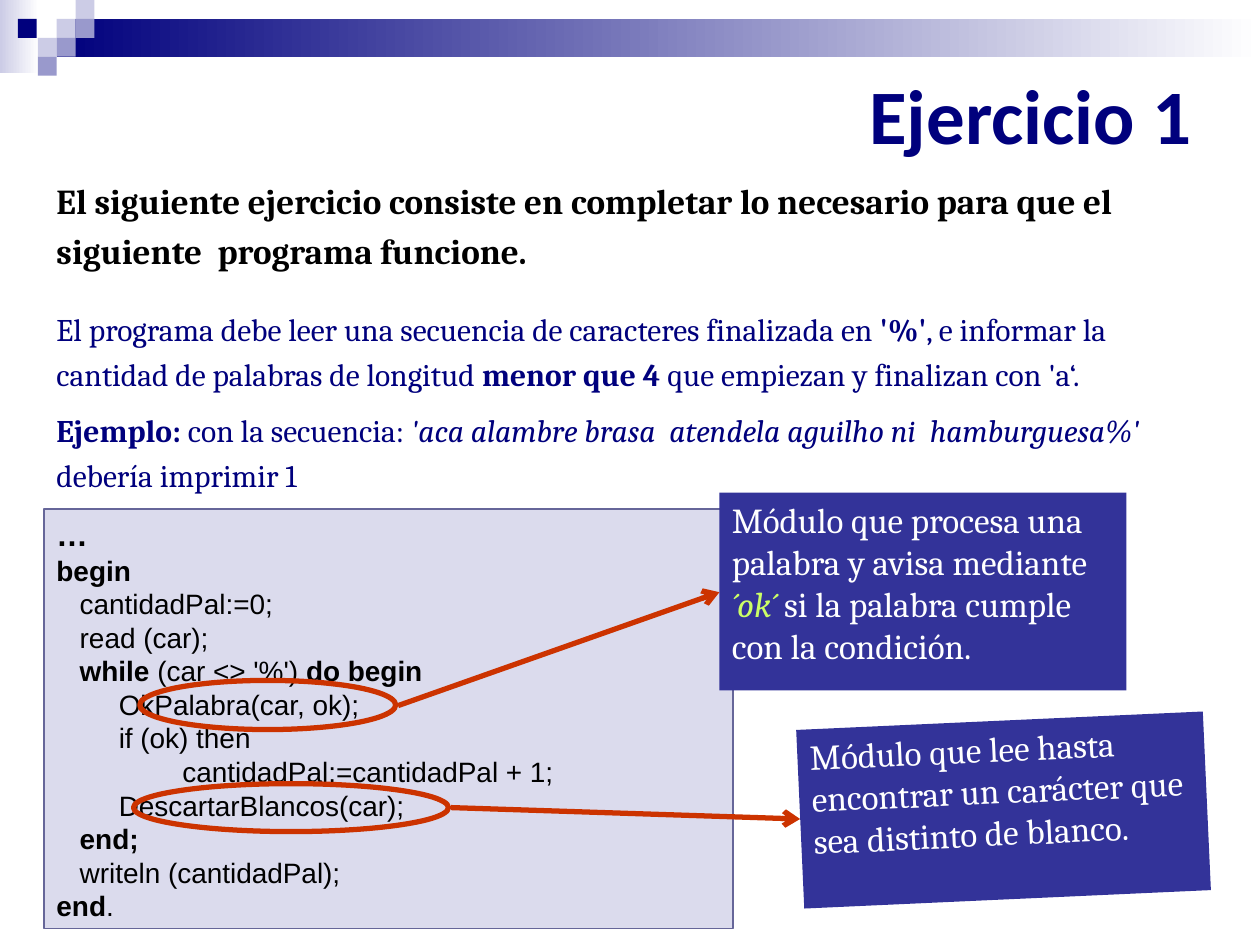
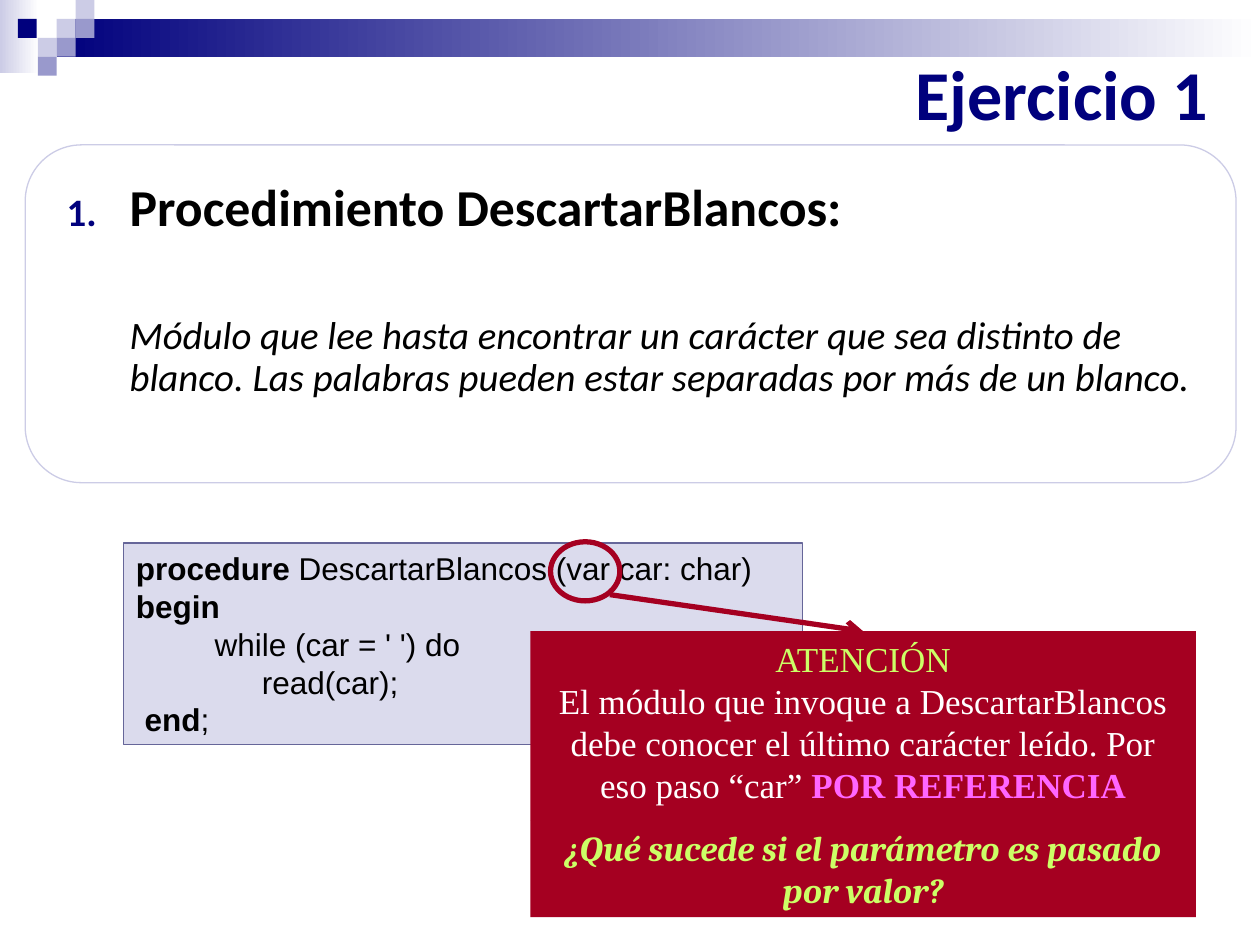
from lxml.etree import SubElement
from pptx import Presentation
from pptx.dml.color import RGBColor
from pptx.enum.shapes import MSO_CONNECTOR as CONN, MSO_SHAPE as SHAPE
from pptx.enum.text import MSO_ANCHOR as ANCHOR, MSO_AUTO_SIZE as AUTO, PP_ALIGN as ALIGN
from pptx.oxml.ns import qn
from pptx.util import Pt

NAVY = RGBColor(0x00, 0x00, 0x7D)
LILAC = RGBColor(0xCC, 0xCC, 0xE6)
VIOLET = RGBColor(0x99, 0x99, 0xCC)
INDIGO = RGBColor(0x33, 0x33, 0x99)
CODE_FILL = RGBColor(0xDB, 0xDB, 0xED)
CODE_LINE = RGBColor(0x66, 0x66, 0x99)
ORANGE = RGBColor(0xCC, 0x33, 0x00)
CRIMSON = RGBColor(0xA5, 0x00, 0x21)
LIME = RGBColor(0xCC, 0xFF, 0x66)
PINK = RGBColor(0xFF, 0x66, 0xFF)
WHITE = RGBColor(0xFF, 0xFF, 0xFF)
BLACK = RGBColor(0x00, 0x00, 0x00)

BOLD = {"bold": True}
ITALIC = {"italic": True}
TAB = 72


def add_shape(slide, kind, box, fill=None, line=None, width=0.75):
    sp = slide.shapes.add_shape(kind, *map(Pt, box))
    sp.shadow.inherit = False
    if fill is None:
        sp.fill.background()
    else:
        sp.fill.solid()
        sp.fill.fore_color.rgb = fill
    if line is None:
        sp.line.fill.background()
    else:
        sp.line.color.rgb = line
        sp.line.width = Pt(width)
    return sp


def set_frame(tf, anchor=ANCHOR.TOP, bottom=3.6):
    tf.word_wrap = True
    tf.auto_size = AUTO.NONE
    tf.vertical_anchor = anchor
    tf.margin_left = tf.margin_right = Pt(7.2)
    tf.margin_top, tf.margin_bottom = Pt(3.6), Pt(bottom)


def add_run(p, text, font, size, color, bold=False, italic=False):
    r = p.add_run()
    r.text = text
    r.font.name, r.font.size = font, Pt(size)
    r.font.bold, r.font.italic = bold, italic
    r.font.color.rgb = color


def add_paragraph(tf, runs, font, size, color=BLACK, align=ALIGN.LEFT,
                  before=0, spacing=1.0, left=0, hanging=0):
    p = tf.paragraphs[0]
    if p.runs:
        p = tf.add_paragraph()
    p.alignment, p.line_spacing, p.space_before = align, spacing, Pt(before)
    pPr = p._p.get_or_add_pPr()
    pPr.set("marL", str(Pt(left)))
    pPr.set("indent", str(Pt(-hanging)))
    for text, style in runs:
        add_run(p, text, **{"font": font, "size": size, "color": color, **style})
    return p


def add_number(p, color, percent):
    pPr = p._p.get_or_add_pPr()
    clr = SubElement(SubElement(pPr, qn("a:buClr")), qn("a:srgbClr"))
    clr.set("val", str(color))
    SubElement(pPr, qn("a:buSzPct")).set("val", str(percent * 1000))
    SubElement(pPr, qn("a:buAutoNum")).set("type", "arabicPeriod")


def add_arrow(slide, start, end, color):
    cx = slide.shapes.add_connector(CONN.STRAIGHT, *map(Pt, (*start, *end)))
    cx.line.color.rgb = color
    cx.line.width = Pt(3)
    SubElement(cx.line._get_or_add_ln(), qn("a:tailEnd")).set("type", "arrow")
    SubElement(cx._element.spPr, qn("a:effectLst"))


def add_band(slide, layout):
    parts = []
    for box, color in (((0, 0, 22.3, 41.8), LILAC), ((32.4, 10.8, 687.6, 21.6), NAVY)):
        sp = add_shape(slide, SHAPE.RECTANGLE, box)
        sp.fill.gradient()
        sp.fill.gradient_angle = 0
        for stop, rgb, position in zip(sp.fill.gradient_stops, (color, WHITE), (0, 1)):
            stop.color.rgb, stop.position = rgb, position
        parts.append(sp)
    side = 10.8
    for col, row, color in ((3, 1, LILAC), (4, 0, LILAC), (4, 1, VIOLET), (2, 2, LILAC),
                            (0.94, 1, NAVY), (3, 2, VIOLET), (2, 3, VIOLET)):
        parts.append(add_shape(slide, SHAPE.RECTANGLE, (col * side, row * side, side, side), color))
    for number, sp in enumerate(parts, 20):
        sp._element.nvSpPr.cNvPr.set("id", str(number))
        layout.shapes.element.append(sp._element)


def add_title(slide, box, size):
    sp = slide.shapes.title
    sp.left, sp.top, sp.width, sp.height = map(Pt, box)
    set_frame(sp.text_frame, ANCHOR.BOTTOM, 7.2)
    add_paragraph(sp.text_frame, [("Ejercicio 1", BOLD)], "Calibri", size, NAVY, ALIGN.RIGHT)


def add_textbox(slide, box):
    tf = slide.shapes.add_textbox(*map(Pt, box)).text_frame
    set_frame(tf)
    return tf


def add_code(slide, box, size, lines):
    tf = add_shape(slide, SHAPE.RECTANGLE, box, CODE_FILL, CODE_LINE).text_frame
    set_frame(tf, ANCHOR.MIDDLE)
    for left, runs in lines:
        add_paragraph(tf, runs, "Arial", size, left=left)


def add_note(slide, box, fill, paragraphs, font="Cambria", align=ALIGN.LEFT, rotation=0):
    sp = add_shape(slide, SHAPE.RECTANGLE, box, fill)
    sp.rotation = rotation
    set_frame(sp.text_frame)
    for runs in paragraphs:
        add_paragraph(sp.text_frame, runs, font, 20, WHITE, align)


def add_ring(slide, box, color):
    add_shape(slide, SHAPE.OVAL, box, line=color, width=3)


def add_statement(slide, box):
    tf = add_textbox(slide, box)
    add_paragraph(tf, [("El siguiente ejercicio consiste en completar lo necesario para que el "
                        "siguiente  programa funcione.", BOLD)], "Cambria", 20, spacing=1.2)
    add_paragraph(tf, [
        ("El programa debe leer una secuencia de caracteres finalizada en ", {}),
        ("'%'", BOLD),
        (", e informar la cantidad de palabras de longitud ", {}),
        ("menor que 4", BOLD),
        (" que empiezan y finalizan con 'a‘.", {}),
    ], "Cambria", 18, NAVY, before=17.5, spacing=1.2)
    add_paragraph(tf, [
        ("Ejemplo: ", BOLD),
        ("con la secuencia: ", {}),
        ("'aca alambre brasa  atendela aguilho ni  hamburguesa%'", ITALIC),
        (" debería imprimir 1", {}),
    ], "Cambria", 18, NAVY, before=5.8, spacing=1.2)


def add_procedure_card(slide, box):
    x, y, w, h = box
    add_shape(slide, SHAPE.ROUNDED_RECTANGLE, box, line=LILAC)
    tf = add_textbox(slide, (x + 16.6, y + 17.3, w - 22.3, h - 17.3))
    p = add_paragraph(tf, [("Procedimiento DescartarBlancos:", BOLD)], "Calibri", 29.6,
                      spacing=0.9, left=36, hanging=36)
    add_number(p, NAVY, 75)
    add_paragraph(tf, [("Módulo que lee hasta encontrar un carácter que sea distinto de blanco. "
                        "Las palabras pueden estar separadas por más de un blanco.", ITALIC)],
                  "Calibri", 22.2, before=45, spacing=0.9, left=36)


def build_program(slide):
    add_title(slide, (76.3, 31.7, 612, 67), 44)
    add_statement(slide, (25.2, 94.3, 674.6, 191.5))
    level1, level2 = 13.3, 35.6
    add_code(slide, (25.2, 290.9, 393.8, 239.8), 16, [
        (0, [("…", {"bold": True, "size": 18})]),
        (0, [("begin", BOLD)]),
        (level1, [("cantidadPal:=0;", {})]),
        (level1, [("read (car);", {})]),
        (level1, [("while ", BOLD), ("(car <> '%') ", {}), ("do begin", BOLD)]),
        (level2, [("OkPalabra(car, ok);", {})]),
        (level2, [("if (ok) then", {})]),
        (TAB, [("cantidadPal:=cantidadPal + 1;", {})]),
        (level2, [("DescartarBlancos(car);", {})]),
        (level1, [("end;", BOLD)]),
        (level1, [("writeln (cantidadPal);", {})]),
        (0, [("end", BOLD), (".", {})]),
    ])
    add_note(slide, (411.1, 281.5, 232.6, 113), INDIGO, [[
        ("Módulo que procesa una palabra y avisa mediante ", {}),
        ("´ok´", {"color": LIME, "italic": True}),
        (" si la palabra cumple con la condición.", {}),
    ]])
    add_note(slide, (457.2, 411.8, 232.6, 102.2), INDIGO, [[
        ("Módulo que lee hasta encontrar un carácter que sea distinto de blanco.", {}),
    ]], rotation=357.4)
    add_ring(slide, (79.9, 388.8, 146.2, 28.1), ORANGE)
    add_arrow(slide, (227.5, 403.2), (411.1, 338.4), ORANGE)
    add_ring(slide, (76.3, 447.8, 180, 27.4), ORANGE)
    add_arrow(slide, (257.8, 461.5), (457.2, 468), ORANGE)


def build_procedure(slide):
    add_title(slide, (42.5, 31.7, 655.2, 52.6), 40)
    add_procedure_card(slide, (14.4, 82.8, 691.9, 193))
    add_code(slide, (70.6, 310.3, 388.1, 115.2), 18, [
        (0, [("procedure", BOLD), (" DescartarBlancos (var car: char)", {})]),
        (0, [("begin", BOLD)]),
        (45, [("while (car = ' ') do", {})]),
        (TAB, [("read(car);", {})]),
        (5, [("end", BOLD), (";", {})]),
    ])
    add_ring(slide, (314.6, 309.6, 39.6, 33.8), CRIMSON)
    add_arrow(slide, (348.5, 339.8), (493.2, 360.7), CRIMSON)
    x, y, w, h = 303.1, 360.7, 380.2, 108
    add_note(slide, (x, y, w, h), CRIMSON, [
        [("ATENCIÓN", {"color": LIME})],
        [("El módulo que invoque a DescartarBlancos debe conocer el último carácter leído. "
          "Por eso paso “car” ", {}),
         ("POR REFERENCIA", {"color": PINK, "bold": True})],
    ], "Times New Roman", ALIGN.CENTER)
    add_note(slide, (x, y + h, w, 55.4), CRIMSON, [
        [("¿Qué sucede si el parámetro es pasado por valor?",
          {"color": LIME, "bold": True, "italic": True})],
    ], align=ALIGN.CENTER)


def main():
    prs = Presentation()
    prs.slide_width, prs.slide_height = Pt(720), Pt(540)
    layout = prs.slide_layouts[5]
    program, procedure = (prs.slides.add_slide(layout) for _ in range(2))
    add_band(program, layout)
    build_program(program)
    build_procedure(procedure)
    prs.save("out.pptx")


if __name__ == "__main__":
    main()
